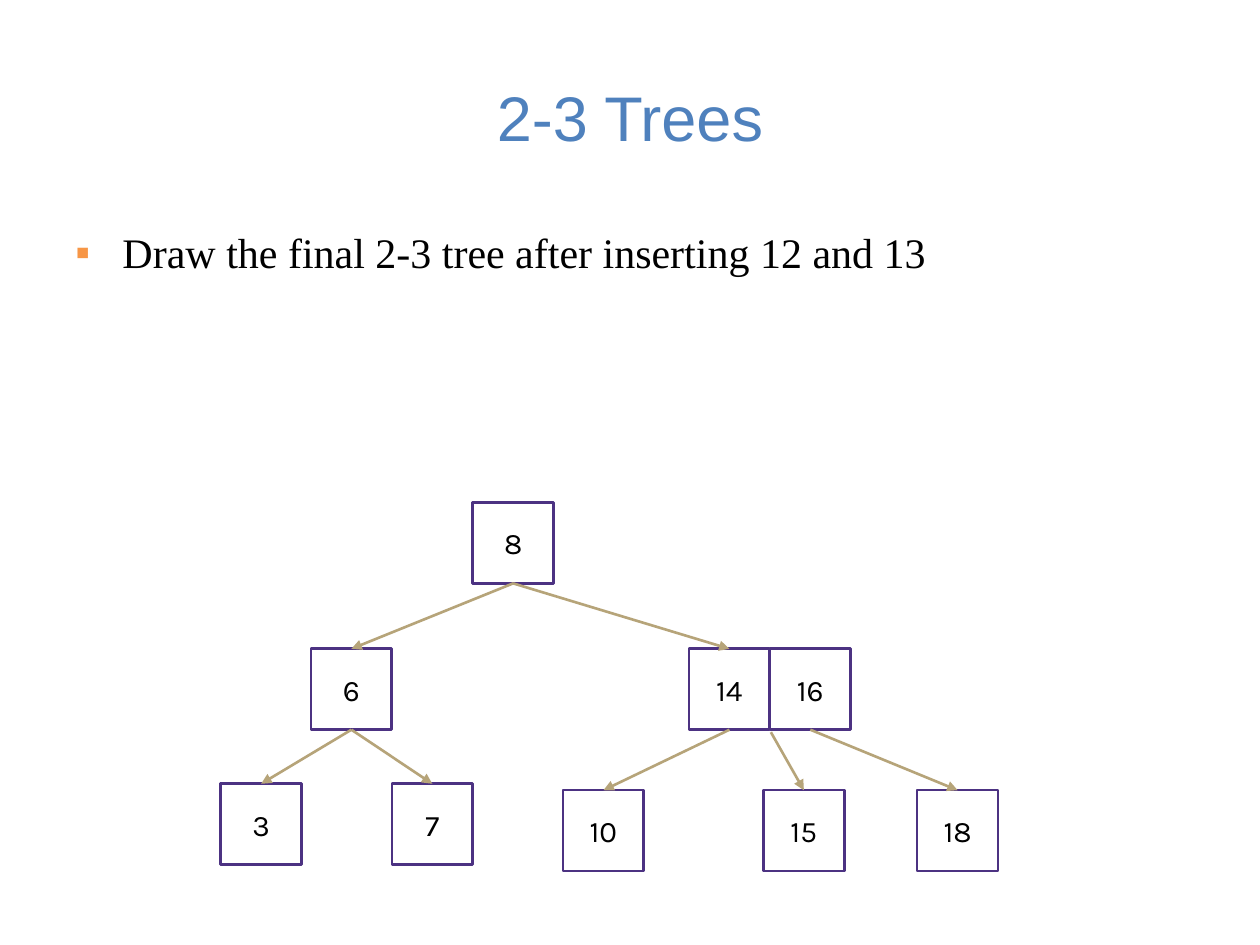
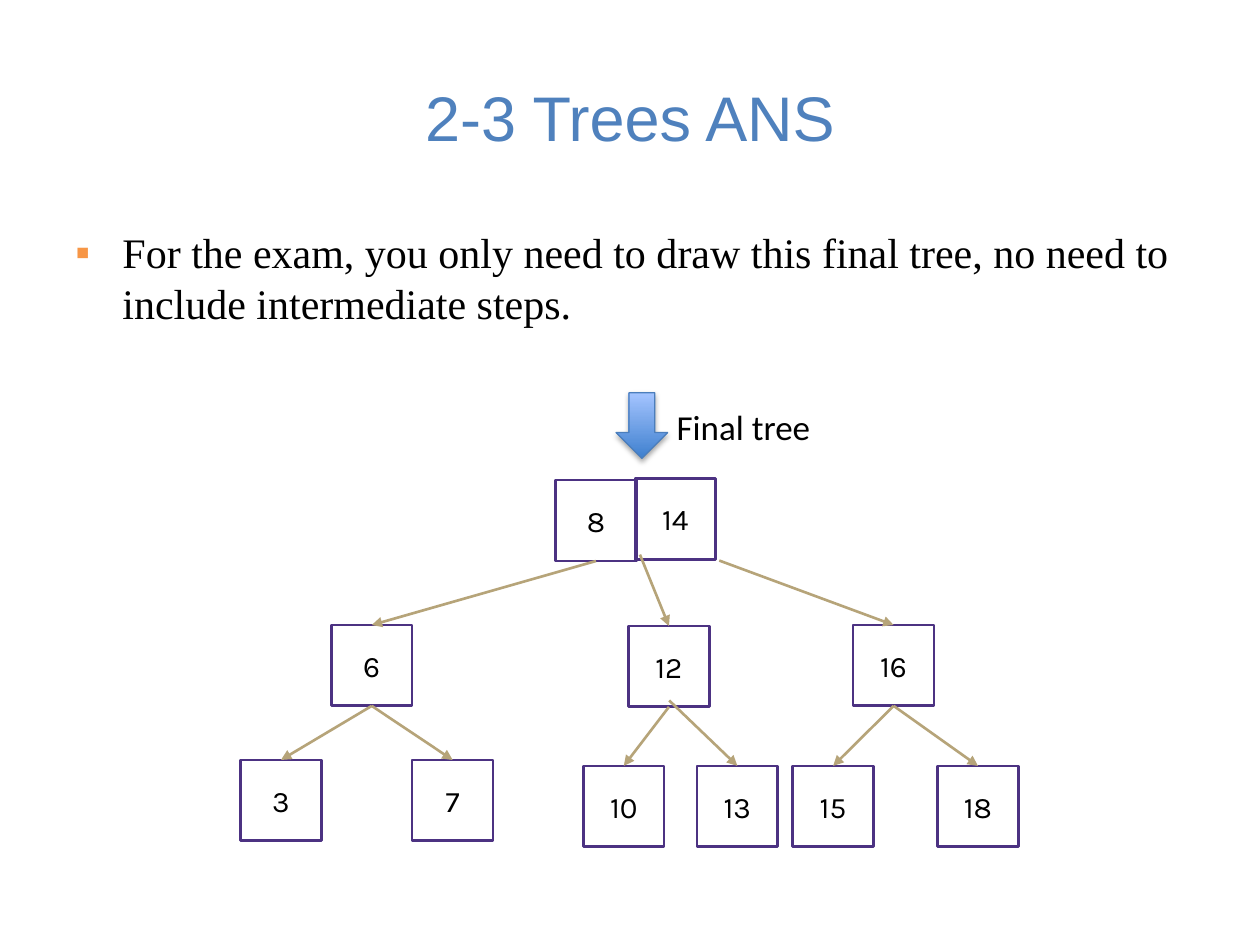
import dataclasses

import lxml.etree
import pptx
import pptx.dml.color
import pptx.enum.shapes
import pptx.enum.text
import pptx.oxml.ns
import pptx.util

Cm = pptx.util.Cm
Pt = pptx.util.Pt
Align = pptx.enum.text.PP_ALIGN
Anchor = pptx.enum.text.MSO_ANCHOR
Shape = pptx.enum.shapes.MSO_SHAPE
Line = pptx.enum.shapes.MSO_CONNECTOR
qn = pptx.oxml.ns.qn


@dataclasses.dataclass(frozen=True)
class Theme:
    blue: str = "4F81BD"
    orange: str = "F79646"
    purple: str = "4C3282"
    sand: str = "B6A479"
    black: str = "000000"
    deep: str = "3F80CE"
    light: str = "A4C4FF"
    rim: str = "4B7EBC"
    title: tuple = ("Arial", 36)
    body: tuple = ("Times New Roman", 24)
    label: tuple = ("Calibri", 20)
    key: tuple = ("Karla", 17)
    stroke: float = 1.5


THEME = Theme()
SIDE = 1.63  # side of a key box, in cm

# Each tree: the left and top of every key, then its edges.
# An edge starts below its parent unless a start point is given.
TASK = {
    "keys": {
        8: (9.53, 10.13),
        6: (6.27, 13.08), 14: (13.89, 13.08), 16: (13.89 + SIDE, 13.08),
        3: (4.45, 15.8), 7: (7.9, 15.8),
        10: (11.35, 15.93), 15: (15.39, 15.93), 18: (18.49, 15.93),
    },
    "edges": [
        (8, 6), (8, 14), (6, 3), (6, 7),
        (14, 10), (14, 15, (15.54, 14.76)), (16, 18),
    ],
}
ANSWER = {
    "keys": {
        8: (11.2, 9.68), 14: (12.8, 9.65),
        6: (6.68, 12.6), 12: (12.67, 12.62), 16: (17.2, 12.6),
        3: (4.85, 15.32), 7: (8.31, 15.32), 10: (11.76, 15.44),
        13: (14.05, 15.44), 15: (15.98, 15.44), 18: (18.9, 15.44),
    },
    "edges": [
        (8, 6), (14, 12, (12.9, 11.18)), (14, 16, (14.5, 11.3)),
        (6, 3), (6, 7), (12, 10), (12, 13, (13.49, 14.12)),
        (16, 15), (16, 18),
    ],
}


def rgb(code):
    return pptx.dml.color.RGBColor.from_string(code)


def add_xml(node, tag, **attrs):
    return lxml.etree.SubElement(node, qn(tag), attrs)


def write(frame, text, style, color, align=Align.LEFT):
    para = frame.paragraphs[0]
    para.text = text
    para.alignment = align
    para.font.name, size = style
    para.font.size = Pt(size)
    para.font.color.rgb = rgb(color)
    return para


def add_text(slide, place, text, style, color, align=Align.LEFT, wrap=True):
    box = slide.shapes.add_textbox(*map(Cm, place))
    box.text_frame.word_wrap = wrap
    return box.text_frame, write(box.text_frame, text, style, color, align)


def add_title(slide, text):
    frame, _ = add_text(slide, (1.27, 0.76, 22.86, 3.18), text,
                        THEME.title, THEME.blue, Align.CENTER)
    frame.vertical_anchor = Anchor.MIDDLE


def add_bullet(slide, text):
    _, para = add_text(slide, (1.27, 4.45, 22.86, 12.57), text,
                       THEME.body, THEME.black)
    para.space_before = Pt(4.8)
    props = para._p.get_or_add_pPr()
    props.set("marL", str(Cm(0.95)))
    props.set("indent", str(-Cm(0.95)))
    tint = add_xml(props, "a:buClr")
    add_xml(tint, "a:srgbClr", val=THEME.orange)
    add_xml(props, "a:buFont", typeface="Arial")
    add_xml(props, "a:buChar", char="▪")


def add_key(slide, key, left, top):
    box = slide.shapes.add_shape(Shape.RECTANGLE, Cm(left), Cm(top),
                                 Cm(SIDE), Cm(SIDE))
    box.shadow.inherit = False
    box.fill.background()
    box.line.color.rgb = rgb(THEME.purple)
    box.line.width = Pt(THEME.stroke)
    frame = box.text_frame
    frame.margin_left = frame.margin_right = Cm(0.25)
    frame.vertical_anchor = Anchor.MIDDLE
    write(frame, str(key), THEME.key, THEME.black, Align.CENTER)


def add_edge(slide, start, end):
    edge = slide.shapes.add_connector(Line.STRAIGHT, *map(Cm, start + end))
    edge.line.color.rgb = rgb(THEME.sand)
    edge.line.width = Pt(THEME.stroke)
    props = edge._element.spPr
    add_xml(props.find(qn("a:ln")), "a:tailEnd", type="triangle")
    add_xml(props, "a:effectLst")


def add_tree(slide, tree):
    keys = tree["keys"]
    for key, place in keys.items():
        add_key(slide, key, *place)
    for head, child, *start in tree["edges"]:
        left, top = keys[head]
        base = start[0] if start else (left + SIDE / 2, top + SIDE)
        left, top = keys[child]
        add_edge(slide, base, (left + SIDE / 2, top))


def add_arrow(slide):
    arrow = slide.shapes.add_shape(Shape.DOWN_ARROW, Cm(12.42), Cm(7.92),
                                   Cm(1.04), Cm(1.32))
    arrow.fill.gradient()
    arrow.fill.gradient_angle = 90
    for stop, code in zip(arrow.fill.gradient_stops, (THEME.deep, THEME.light)):
        stop.color.rgb = rgb(code)
    arrow.line.color.rgb = rgb(THEME.rim)
    arrow.line.width = Pt(0.75)
    # Soft shadow straight below
    arrow.shadow.inherit = False
    effect = arrow._element.spPr.find(qn("a:effectLst"))
    shade = add_xml(effect, "a:outerShdw", blurRad=str(Pt(3.1)),
                    dist=str(Pt(1.8)), dir="5400000", rotWithShape="0")
    tint = add_xml(shade, "a:srgbClr", val=THEME.black)
    add_xml(tint, "a:alpha", val="35000")


def add_page(deck, title, text, tree):
    slide = deck.slides.add_slide(deck.slide_layouts[6])
    add_title(slide, title)
    add_bullet(slide, text)
    add_tree(slide, tree)
    return slide


def main():
    deck = pptx.Presentation()
    deck.slide_width, deck.slide_height = Cm(25.4), Cm(19.05)

    # Question
    add_page(deck, "2-3 Trees",
             "Draw the final 2-3 tree after inserting 12 and 13", TASK)

    # Answer
    slide = add_page(deck, "2-3 Trees ANS",
                     "For the exam, you only need to draw this final tree, "
                     "no need to include intermediate steps.", ANSWER)
    add_arrow(slide)
    add_text(slide, (13.39, 8.05, 3.25, 1.12), "Final tree",
             THEME.label, THEME.black, wrap=False)

    deck.save("out.pptx")


if __name__ == "__main__":
    main()
